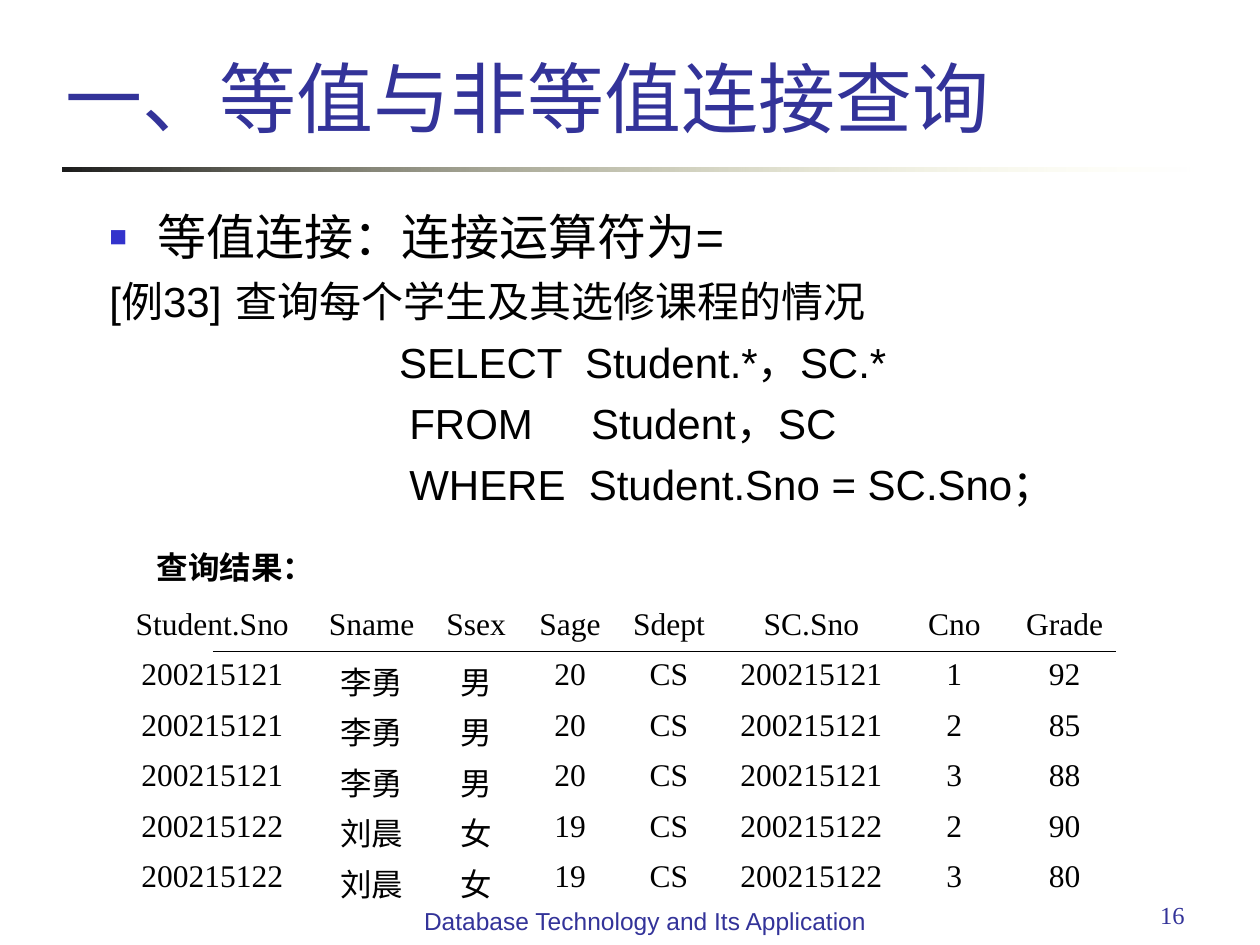
from lxml.etree import SubElement
from pptx import Presentation
from pptx.dml.color import RGBColor
from pptx.enum.shapes import MSO_CONNECTOR, MSO_SHAPE
from pptx.enum.text import MSO_ANCHOR, PP_ALIGN
from pptx.oxml.ns import qn
from pptx.util import Inches, Pt

COLORS = {"heading": "333399", "bullet": "3333CC", "text": "000000",
          "rule_start": "1C1C1C", "rule_end": "FFFFB7"}
SANS, SERIF = "Arial", "Times New Roman"


class SlideBuilder:
    def __init__(self, slide):
        self.slide = slide

    def color(self, name):
        return RGBColor.from_string(COLORS[name])

    def style(self, paragraph, size, font, color="text", align=PP_ALIGN.LEFT, bold=False):
        paragraph.alignment = align
        for run in paragraph.runs:
            run.font.size = Pt(size)
            run.font.name = font
            run.font.bold = bold
            run.font.color.rgb = self.color(color)

    def frame(self, left, top, width, height, wrap=True):
        box = self.slide.shapes.add_textbox(
            Inches(left), Inches(top), Inches(width), Inches(height))
        box.text_frame.word_wrap = wrap
        return box.text_frame

    def label(self, text, place, size, font, anchor=MSO_ANCHOR.TOP, wrap=True, **look):
        frame = self.frame(*place, wrap=wrap)
        frame.vertical_anchor = anchor
        frame.text = text
        self.style(frame.paragraphs[0], size, font, **look)

    def body(self, lines, place):
        """Each line is (text, size, left indent, hanging indent, tab stop, bullet)."""
        frame = self.frame(*place)
        frame.text = "\n".join(line[0] for line in lines)
        for index, (paragraph, line) in enumerate(zip(frame.paragraphs, lines)):
            _, size, indent, hanging, tab, bullet = line
            if index:
                paragraph.space_before = Pt(6)
            properties = paragraph._p.get_or_add_pPr()
            properties.set("marL", str(Inches(indent)))
            properties.set("indent", str(-Inches(hanging)))
            if bullet:
                self.bullet(properties, bullet)
            if tab:
                stops = SubElement(properties, qn("a:tabLst"))
                SubElement(stops, qn("a:tab"), pos=str(Inches(tab)), algn="l")
            self.style(paragraph, size, SANS, align=PP_ALIGN.JUSTIFY)

    def bullet(self, properties, mark):
        color = SubElement(properties, qn("a:buClr"))
        SubElement(color, qn("a:srgbClr"), val=COLORS["bullet"])
        SubElement(properties, qn("a:buSzPct"), val="60000")
        SubElement(properties, qn("a:buFont"), typeface=SANS)
        SubElement(properties, qn("a:buChar"), char=mark)

    def fading_rule(self, left, top, width, height):
        """Bar that fades to full transparency at its right end."""
        bar = self.slide.shapes.add_shape(
            MSO_SHAPE.RECTANGLE, Inches(left), Inches(top), Inches(width), Inches(height))
        bar.shadow.inherit = False
        bar.line.fill.background()
        bar.fill.gradient()
        bar.fill.gradient_angle = 0
        for stop, name, position in zip(
                bar.fill.gradient_stops, ("rule_start", "rule_end"), (0, 1)):
            stop.color.rgb = self.color(name)
            stop.position = position
        end_color = bar._element.spPr.findall(".//" + qn("a:srgbClr"))[-1]
        SubElement(end_color, qn("a:alpha"), val="0")

    def table(self, rows, left, top, widths, row_height):
        table = self.slide.shapes.add_table(
            len(rows), len(widths), Inches(left), Inches(top),
            Inches(sum(widths)), Inches(row_height * len(rows))).table
        table.first_row = table.horz_banding = False
        for column, width in zip(table.columns, widths):
            column.width = Inches(width)
        for table_row, values in zip(table.rows, rows):
            table_row.height = Inches(row_height)
            for cell, value in zip(table_row.cells, values):
                cell.text = value
                cell.fill.background()
                self.style(cell.text_frame.paragraphs[0], 18, SERIF, align=PP_ALIGN.CENTER)

    def line(self, start_x, end_x, y):
        line = self.slide.shapes.add_connector(
            MSO_CONNECTOR.STRAIGHT, Inches(start_x), Inches(y), Inches(end_x), Inches(y))
        line.line.color.rgb = self.color("text")
        line.line.width = Pt(0.75)
        SubElement(line._element.spPr, qn("a:effectLst"))


def main():
    presentation = Presentation()
    presentation.slide_width, presentation.slide_height = Inches(10), Inches(7.5)
    builder = SlideBuilder(presentation.slides.add_slide(presentation.slide_layouts[6]))

    builder.fading_rule(0.5, 1.33, 9, 0.03)
    builder.label("16", (7.17, 7.09, 2.33, 0.52), 14, SERIF,
                  color="heading", align=PP_ALIGN.RIGHT)
    builder.label("Database Technology and Its Application", (3.19, 7.14, 3.86, 0.52),
                  14, SANS, color="heading", align=PP_ALIGN.CENTER)
    builder.label("一、等值与非等值连接查询", (0.42, 0, 8.78, 1.18), 44, SANS,
                  anchor=MSO_ANCHOR.BOTTOM, color="heading")

    builder.body([
        ("等值连接：连接运算符为=", 28, 0.38, 0.38, None, "■"),
        ("[例33]\t查询每个学生及其选修课程的情况", 24, 0, 0, 1.31, None),
        ("SELECT  Student.*，SC.*", 24, 2.3, 0, None, None),
        ("FROM     Student，SC", 24, 2.38, 0, None, None),
        ("WHERE  Student.Sno = SC.Sno；", 24, 2.38, 0, None, None),
    ], (0.77, 1.59, 8.85, 2.52))

    builder.label("查询结果：", (0.77, 4.3, 2.2, 0.4), 18, SERIF,
                  wrap=False, align=PP_ALIGN.CENTER, bold=True)
    header = ["Student.Sno", "Sname", "Ssex", "Sage", "Sdept", "SC.Sno", "Cno", "Grade"]
    li_yong = ("200215121", "李勇", "男", "20", "CS")
    liu_chen = ("200215122", "刘晨", "女", "19", "CS")
    enrolments = [(li_yong, "1", "92"), (li_yong, "2", "85"), (li_yong, "3", "88"),
                  (liu_chen, "2", "90"), (liu_chen, "3", "80")]
    joined = [[*student, student[0], course, grade]
              for student, course, grade in enrolments]
    builder.table([header] + joined, 0.9, 4.77,
                  [1.57, 0.96, 0.7, 0.79, 0.78, 1.48, 0.79, 0.96], 0.4)
    builder.line(1.69, 8.86, 5.17)

    presentation.save("out.pptx")


if __name__ == "__main__":
    main()
